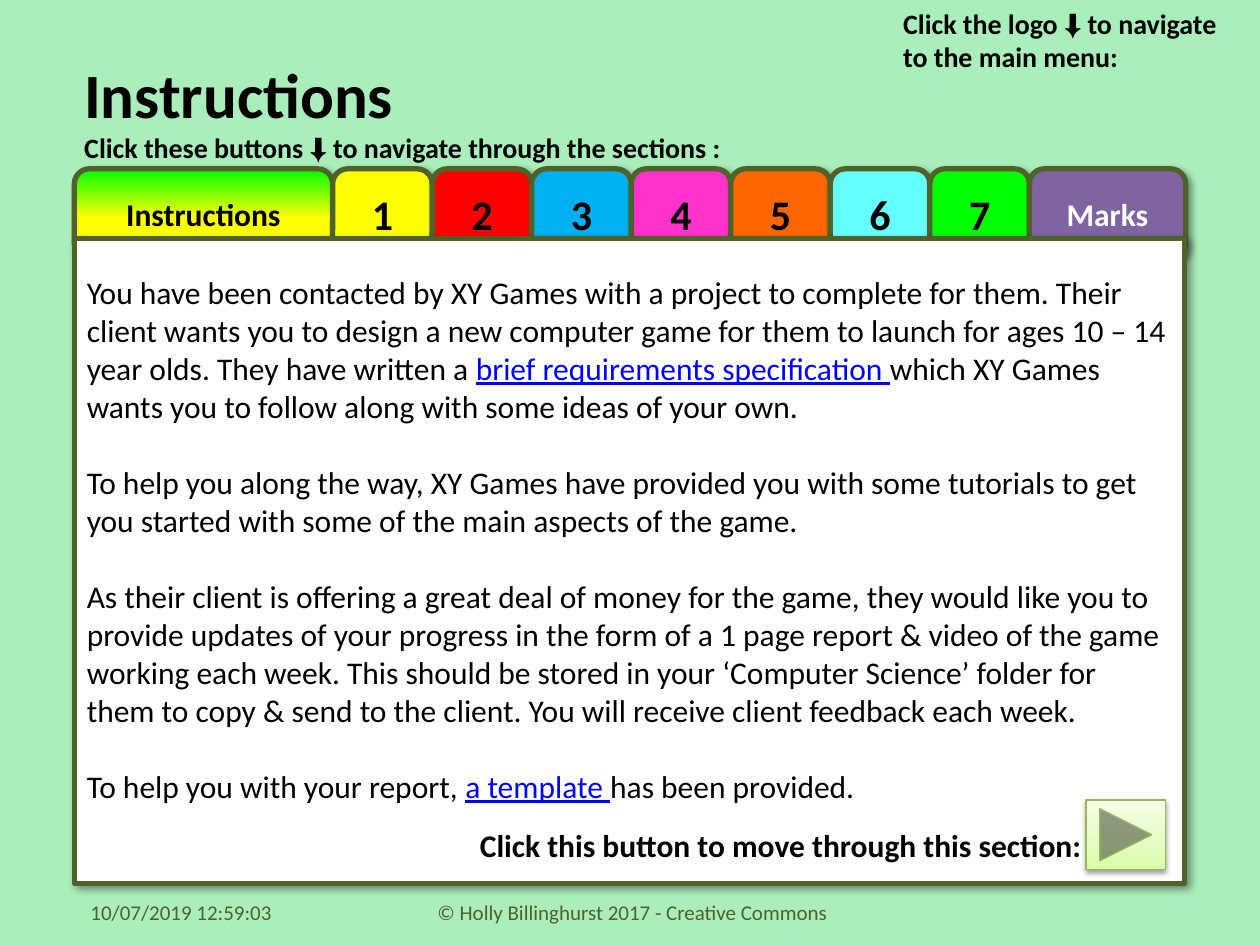
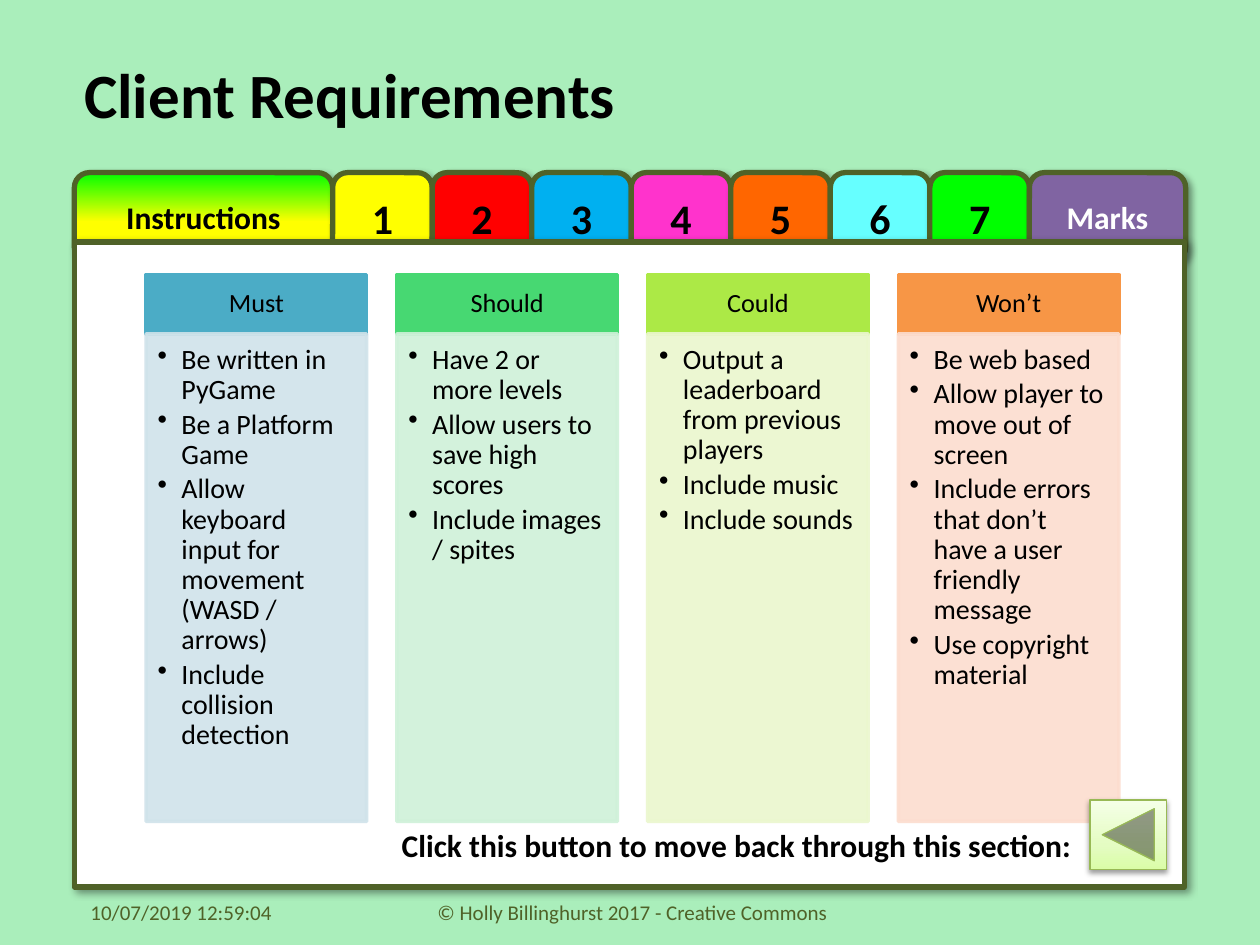
from pptx import Presentation
from pptx import util as u
from pptx.dml.color import RGBColor
from pptx.enum import shapes, text
from pptx.oxml import parse_xml
from pptx.oxml.ns import nsdecls, qn

FONT = "Calibri"
BLACK = RGBColor(0x00, 0x00, 0x00)
WHITE = RGBColor(0xFF, 0xFF, 0xFF)
MINT = RGBColor(0xAA, 0xEE, 0xBB)
OLIVE = RGBColor(0x4F, 0x62, 0x28)
LINK_BLUE = RGBColor(0x00, 0x00, 0xFF)
YELLOW = RGBColor(0xFF, 0xFF, 0x00)
RED = RGBColor(0xFF, 0x00, 0x00)
SKY = RGBColor(0x00, 0xB0, 0xF0)
PINK = RGBColor(0xFF, 0x33, 0xCC)
ORANGE = RGBColor(0xFF, 0x66, 0x00)
CYAN = RGBColor(0x66, 0xFF, 0xFF)
GREEN = RGBColor(0x00, 0xFF, 0x00)
PURPLE = RGBColor(0x80, 0x64, 0xA2)
BUTTON_LINE = RGBColor(0x98, 0xB9, 0x55)
MUST = RGBColor(0x4B, 0xAC, 0xC6)
MUST_PALE = RGBColor(0xD0, 0xE3, 0xEA)
SHOULD = RGBColor(0x47, 0xD8, 0x72)
SHOULD_PALE = RGBColor(0xCF, 0xF1, 0xD9)
COULD = RGBColor(0xAC, 0xE9, 0x46)
COULD_PALE = RGBColor(0xEB, 0xF7, 0xCE)
WONT = RGBColor(0xF7, 0x96, 0x46)
WONT_PALE = RGBColor(0xFC, 0xDD, 0xCF)

TAB_GRADIENT = ([(0, GREEN), (55, YELLOW), (100, YELLOW)], 90)
BUTTON_GRADIENT = ([(0, RGBColor(0xDA, 0xFD, 0xA7)), (35, RGBColor(0xE4, 0xFC, 0xC2)),
                    (100, RGBColor(0xF5, 0xFF, 0xE7))], 270)
FOLDER_SHADOW = (40, 4, 3, 45)
BUTTON_SHADOW = (38, 3.1, 1.6, 90)

TABS = [
    ("Instructions", 2.05, 18, TAB_GRADIENT, BLACK),
    ("1", 0.79, 24, YELLOW, BLACK),
    ("2", 0.79, 24, RED, BLACK),
    ("3", 0.79, 24, SKY, BLACK),
    ("4", 0.79, 24, PINK, BLACK),
    ("5", 0.79, 24, ORANGE, BLACK),
    ("6", 0.79, 24, CYAN, BLACK),
    ("7", 0.79, 24, GREEN, BLACK),
    ("Marks", 1.24, 18, PURPLE, WHITE),
]
FOLDER_LEFT = 0.59
COPYRIGHT = "© Holly Billinghurst 2017 - Creative Commons"

BOLD = {"bold": True}
LINK = {"color": LINK_BLUE, "underline": True}
BRIEF = [
    [("You have been contacted by XY Games with a project to complete for them. Their client wants "
      "you to design a new computer game for them to launch for ages 10 – 14 year olds. They have "
      "written a ", {}),
     ("brief requirements specification ", LINK),
     ("which XY Games wants you to follow along with some ideas of your own.", {})],
    [("To help you along the way, XY Games have provided you with some tutorials to get you started "
      "with some of the main aspects of the game.", {})],
    [("As their client is offering a great deal of money for the game, they would like you to provide "
      "updates of your progress in the form of a 1 page report & video of the game working each week. "
      "This should be stored in your ‘Computer Science’ folder for them to copy & send to the client. "
      "You will receive client feedback each week.", {})],
    [("To help you with your report, ", {}), ("a template ", LINK), ("has been provided.", {})],
]
SECTIONS_HINT = [[("Click these buttons ", BOLD), ("⬇ ", {}), ("to navigate through the sections :", BOLD)]]
MENU_HINT = [[("Click the logo ", BOLD), ("⬇ ", {}), ("to navigate", BOLD)],
             [("to the main menu:", BOLD)]]
REQUIREMENTS = [
    ("Must", MUST, MUST_PALE,
     ["Be written in PyGame", "Be a Platform Game",
      "Allow keyboard input for movement (WASD / arrows)", "Include collision detection"]),
    ("Should", SHOULD, SHOULD_PALE,
     ["Have 2 or more levels", "Allow users to save high scores", "Include images / spites"]),
    ("Could", COULD, COULD_PALE,
     ["Output a leaderboard from previous players", "Include music", "Include sounds"]),
    ("Won’t", WONT, WONT_PALE,
     ["Be web based", "Allow player to move out of screen",
      "Include errors that don’t have a user friendly message", "Use copyright material"]),
]


def write(shape, paragraphs, size, color=BLACK, align=text.PP_ALIGN.LEFT,
          anchor=text.MSO_ANCHOR.TOP, insets=(0.1, 0.05, 0.1, 0.05), gap=0, spacing=None):
    frame = shape.text_frame
    frame.word_wrap = True
    frame.vertical_anchor = anchor
    (frame.margin_left, frame.margin_top,
     frame.margin_right, frame.margin_bottom) = [u.Inches(inset) for inset in insets]
    for index, runs in enumerate(paragraphs):
        paragraph = frame.add_paragraph() if index else frame.paragraphs[0]
        paragraph.alignment = align
        paragraph.space_after = u.Pt(gap)
        if spacing:
            paragraph.line_spacing = spacing
        for words, style in runs:
            run = paragraph.add_run()
            run.text = words
            run.font.name = FONT
            run.font.size = u.Pt(size)
            run.font.bold = style.get("bold", False)
            run.font.underline = style.get("underline", False)
            run.font.color.rgb = style.get("color", color)


def add_text(slide, box, paragraphs, size, **options):
    write(slide.shapes.add_textbox(*map(u.Inches, box)), paragraphs, size, **options)


def fill_gradient(shape, stops, angle):
    marks = "".join(f'<a:gs pos="{position * 1000}"><a:srgbClr val="{color}"/></a:gs>'
                    for position, color in stops)
    gradient = parse_xml(f'<a:gradFill {nsdecls("a")} rotWithShape="1"><a:gsLst>{marks}</a:gsLst>'
                         f'<a:lin ang="{angle * 60000}" scaled="0"/></a:gradFill>')
    shape._element.spPr.find(qn("a:prstGeom")).addnext(gradient)


def cast_shadow(shape, alpha, blur, distance, angle):
    effects = shape._element.spPr.find(qn("a:effectLst"))
    effects.append(parse_xml(
        f'<a:outerShdw {nsdecls("a")} blurRad="{u.Pt(blur)}" dist="{u.Pt(distance)}" '
        f'dir="{angle * 60000}" algn="tl" rotWithShape="0"><a:srgbClr val="000000">'
        f'<a:alpha val="{alpha * 1000}"/></a:srgbClr></a:outerShdw>'))


def add_shape(slide, kind, box, fill, line, width, shadow=None):
    shape = slide.shapes.add_shape(kind, *map(u.Inches, box))
    if isinstance(fill, RGBColor):
        shape.fill.solid()
        shape.fill.fore_color.rgb = fill
    else:
        fill_gradient(shape, *fill)
    shape.line.color.rgb = line
    shape.line.width = u.Pt(width)
    shape.shadow.inherit = False
    if shadow:
        cast_shadow(shape, *shadow)
    return shape


def add_folder(slide, top):
    left = FOLDER_LEFT
    for label, width, size, fill, color in TABS:
        tab = add_shape(slide, shapes.MSO_SHAPE.ROUNDED_RECTANGLE, (left, top, width, 0.71),
                        fill, OLIVE, 3, FOLDER_SHADOW)
        write(tab, [[(label, BOLD)]], size, color=color, align=text.PP_ALIGN.CENTER,
              anchor=text.MSO_ANCHOR.MIDDLE)
        left += width
    return add_shape(slide, shapes.MSO_SHAPE.RECTANGLE, (FOLDER_LEFT, top + 0.55, 8.81, 5.12),
                     WHITE, OLIVE, 3, FOLDER_SHADOW)


def add_page(presentation, title, tabs_top, stamp):
    slide = presentation.slides.add_slide(presentation.slide_layouts[6])
    slide.background.fill.solid()
    slide.background.fill.fore_color.rgb = MINT
    panel = add_folder(slide, tabs_top)
    add_text(slide, (0.57, 0.39, 4.43, 0.71), [[(title, BOLD)]], 36)
    for box, words, align in [((0.62, 7.04, 2.33, 0.4), stamp, text.PP_ALIGN.LEFT),
                              ((2.92, 7.04, 4.2, 0.4), COPYRIGHT, text.PP_ALIGN.CENTER)]:
        add_text(slide, box, [[(words, {})]], 12, color=OLIVE, align=align,
                 anchor=text.MSO_ANCHOR.MIDDLE)
    return slide, panel


def add_move_button(slide, caption, caption_left, caption_width, kind, left, width):
    add_text(slide, (caption_left, 6.51, caption_width, 0.4), [[(caption, BOLD)]], 18)
    add_shape(slide, kind, (left, 6.35, width, 0.55), BUTTON_GRADIENT, BUTTON_LINE, 0.75, BUTTON_SHADOW)


def make_translucent(shape):
    for color in shape._element.spPr.iter(qn("a:srgbClr")):
        color.append(parse_xml(f'<a:alpha {nsdecls("a")} val="90000"/>'))


def add_bullets(shape):
    for paragraph in shape.text_frame.paragraphs:
        properties = paragraph._p.get_or_add_pPr()
        properties.set("marL", str(u.Inches(0.19)))
        properties.set("indent", str(u.Inches(-0.19)))
        properties.append(parse_xml(f'<a:buChar {nsdecls("a")} char="•"/>'))


def add_requirement_columns(slide):
    for index, (heading, color, pale, items) in enumerate(REQUIREMENTS):
        left = 1.16 + 1.99 * index
        header = add_shape(slide, shapes.MSO_SHAPE.RECTANGLE, (left, 2.18, 1.75, 0.47), color, color, 2)
        write(header, [[(heading, {})]], 15, align=text.PP_ALIGN.CENTER, anchor=text.MSO_ANCHOR.MIDDLE,
              insets=(0.12, 0.07, 0.12, 0.07), spacing=0.9)
        column = add_shape(slide, shapes.MSO_SHAPE.RECTANGLE, (left, 2.65, 1.75, 3.87), pale, pale, 2)
        make_translucent(column)
        write(column, [[(item, {})] for item in items], 16, insets=(0.09, 0.09, 0.12, 0.14),
              gap=2.5, spacing=0.9)
        add_bullets(column)


def main():
    presentation = Presentation()
    presentation.slide_width = u.Inches(10)
    presentation.slide_height = u.Inches(7.5)

    slide, panel = add_page(presentation, "Instructions", 1.34, "10/07/2019 12:59:03")
    write(panel, BRIEF, 18, insets=(0.1, 0.28, 0.1, 0.05), gap=22)
    add_move_button(slide, "Click this button to move through this section:", 3.71, 5.08,
                    shapes.MSO_SHAPE.ACTION_BUTTON_FORWARD_OR_NEXT, 8.62, 0.63)
    add_text(slide, (0.57, 0.99, 5.99, 0.37), SECTIONS_HINT, 16)
    add_text(slide, (7.07, 0, 2.83, 0.64), MENU_HINT, 16)

    slide, panel = add_page(presentation, "Client Requirements", 1.37, "10/07/2019 12:59:04")
    add_requirement_columns(slide)
    add_move_button(slide, "Click this button to move back through this section:", 3.09, 6,
                    shapes.MSO_SHAPE.ACTION_BUTTON_BACK_OR_PREVIOUS, 8.65, 0.61)

    presentation.save("out.pptx")


if __name__ == "__main__":
    main()
